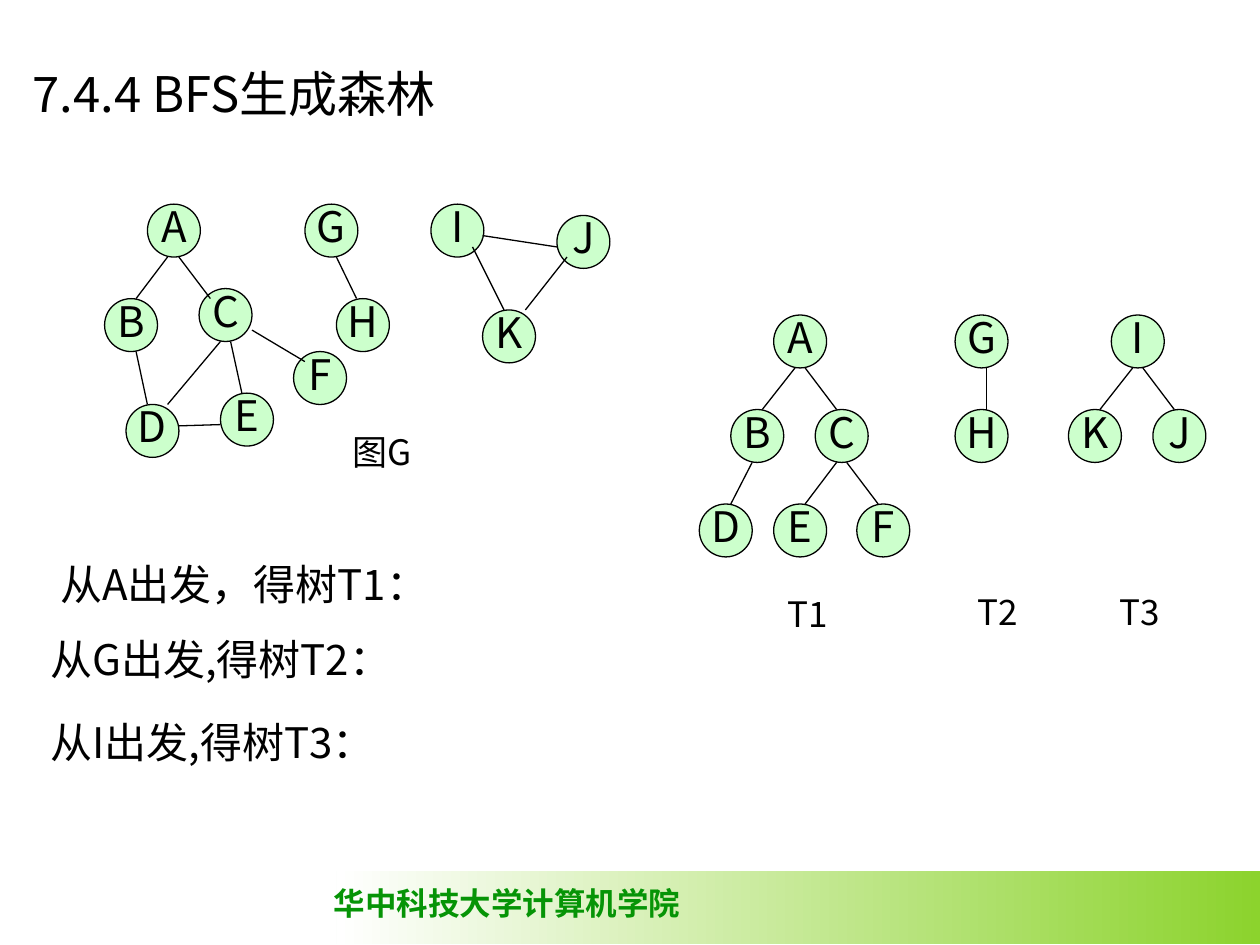
from pptx import Presentation
from pptx.dml.color import RGBColor
from pptx.enum.shapes import MSO_CONNECTOR as Connector, MSO_SHAPE as Shape
from pptx.enum.text import MSO_ANCHOR as Anchor, PP_ALIGN as Align
from pptx.oxml.ns import qn
from pptx.util import Inches, Pt

COLORS = {"black": "000000", "node": "CCFFCC", "school": "069406",
          "band": "8CD32D", "white": "FFFFFF"}
FONT = "Noto Sans CJK SC"
NODE = 0.42   # circle diameter
INSET = 0.04  # distance of a tree link's end from the circle's centre line

GRAPH_NODES = {"A": (1.17, 1.62), "B": (0.83, 2.37), "C": (1.58, 2.29),
               "D": (1, 3.21), "E": (1.75, 3.12), "F": (2.33, 2.79),
               "G": (2.42, 1.62), "H": (2.67, 2.37),
               "I": (3.42, 1.62), "J": (4.42, 1.71), "K": (3.83, 2.46)}
GRAPH_LINKS = [(1.42, 2.04, 1.67, 2.37), (1.33, 2.04, 1.08, 2.37),
               (1.08, 2.79, 1.17, 3.21), (1.33, 3.21, 1.75, 2.71),
               (1.92, 3.12, 1.83, 2.71), (1.42, 3.38, 1.75, 3.37),
               (2, 2.62, 2.42, 2.87), (2.67, 2.04, 2.83, 2.37),
               (4.42, 1.96, 3.83, 1.87), (4, 2.46, 3.75, 1.96),
               (4.17, 2.46, 4.5, 2.04)]

TREE_LEVELS = [2.5, 3.25, 4]
TREE_NODES = {"A": (6.14, 0), "B": (5.8, 1), "C": (6.47, 1),
              "D": (5.55, 2), "E": (6.14, 2), "F": (6.8, 2),
              "G": (7.58, 0), "H": (7.58, 1),
              "I": (8.82, 0), "K": (8.48, 1), "J": (9.15, 1)}
TREE_LINKS = ["AB", "AC", "BD", "CE", "CF", "GH", "IK", "IJ"]

LABELS = [("图G", 2.7, 3.37, 0.71, 20), ("T1", 6.15, 4.65, 0.53, 20),
          ("T2", 7.66, 4.64, 0.62, 20), ("T3", 8.79, 4.64, 0.53, 20),
          ("从A出发，得树T1：", 0.38, 4.38, 3.45, 24),
          ("从G出发,得树T2：", 0.3, 4.98, 3.45, 24),
          ("从I出发,得树T3：", 0.3, 5.64, 3.45, 24)]


def rgb(name):
    return RGBColor.from_string(COLORS[name])


class SlideBuilder:
    def __init__(self, page):
        self.page = page
        self.shapes = page.shapes

    def fill_text(self, box, text, size, color="black", font=FONT, bold=False,
                  frame_format=None, para_format=None):
        frame = box.text_frame
        for name, value in (frame_format or {}).items():
            setattr(frame, name, value)
        para = frame.paragraphs[0]
        for name, value in (para_format or {}).items():
            setattr(para, name, value)
        span = para.add_run()
        span.text = text
        for name, value in {"size": Pt(size), "bold": bold, "name": font}.items():
            setattr(span.font, name, value)
        span.font.color.rgb = rgb(color)
        props = span.font._element
        props.append(props.makeelement(qn("a:ea"), {"typeface": FONT}))

    def title(self, text):
        box = self.shapes.title
        place = {"left": 0.16, "top": 0.36, "width": 4.21, "height": 0.67}
        for name, value in place.items():
            setattr(box, name, Inches(value))
        self.fill_text(box, text, 28,
                       frame_format={"vertical_anchor": Anchor.TOP},
                       para_format={"alignment": Align.LEFT, "line_spacing": 1.2})

    def label(self, text, left, top, width, size, wrap=True, **style):
        box = self.shapes.add_textbox(Inches(left), Inches(top),
                                      Inches(width), Inches(size / 48))
        self.fill_text(box, text, size, frame_format={"word_wrap": wrap}, **style)

    def band(self):
        band = self.shapes.add_shape(Shape.RECTANGLE, Inches(2.67), Inches(6.91),
                                     Inches(7.33), Inches(0.58))
        band.shadow.inherit = False
        band.line.fill.background()
        band.fill.gradient()
        band.fill.gradient_angle = 180
        for stop, name in zip(band.fill.gradient_stops, ("band", "white")):
            stop.color.rgb = rgb(name)

    def node(self, letter, left, top):
        circle = self.shapes.add_shape(Shape.OVAL, Inches(left), Inches(top),
                                       Inches(NODE), Inches(NODE))
        circle.shadow.inherit = False
        circle.fill.solid()
        circle.fill.fore_color.rgb = rgb("node")
        circle.line.color.rgb = rgb("black")
        circle.line.width = Pt(0.75)
        self.fill_text(circle, letter, 24,
                       frame_format={"word_wrap": False,
                                     "vertical_anchor": Anchor.MIDDLE},
                       para_format={"alignment": Align.CENTER, "line_spacing": 0.8})

    def link(self, *ends):
        line = self.shapes.add_connector(Connector.STRAIGHT, *map(Inches, ends))
        line.line.color.rgb = rgb("black")
        line.line.width = Pt(0.75)
        props = line._element.spPr
        props.append(props.makeelement(qn("a:effectLst"), {}))

    def tree_link(self, parent, child):
        """Join two tree nodes, each end set a little towards the other node."""
        (start, level), (end, next_level) = TREE_NODES[parent], TREE_NODES[child]
        start_shift = -INSET if end < start else INSET
        end_shift = INSET if end <= start else -INSET
        self.link(start + NODE / 2 + start_shift, TREE_LEVELS[level] + NODE,
                  end + NODE / 2 + end_shift, TREE_LEVELS[next_level])


def main():
    deck = Presentation()
    deck.slide_width, deck.slide_height = Inches(10), Inches(7.5)
    builder = SlideBuilder(deck.slides.add_slide(deck.slide_layouts[5]))

    builder.band()
    builder.label("华中科技大学计算机学院", 2.55, 6.97, 2.95, 18, wrap=False,
                  color="school", font="Times New Roman", bold=True)
    builder.title("7.4.4 BFS生成森林")

    for letter, (left, top) in GRAPH_NODES.items():
        builder.node(letter, left, top)
    for ends in GRAPH_LINKS:
        builder.link(*ends)

    for letter, (left, level) in TREE_NODES.items():
        builder.node(letter, left, TREE_LEVELS[level])
    for parent, child in TREE_LINKS:
        builder.tree_link(parent, child)

    for label in LABELS:
        builder.label(*label)

    deck.save("out.pptx")


if __name__ == "__main__":
    main()
